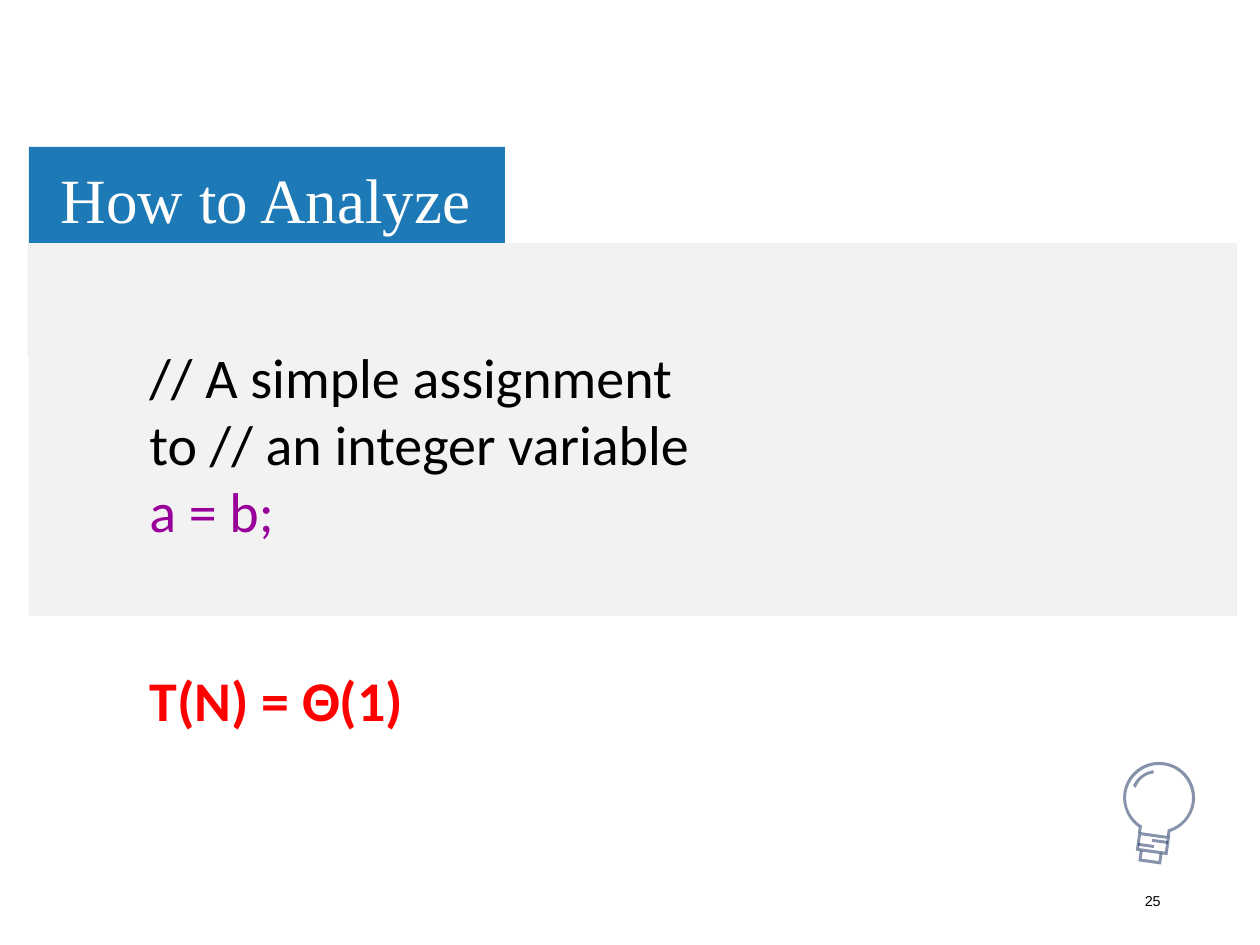
from pptx import Presentation
from pptx.dml.color import RGBColor
from pptx.enum.shapes import MSO_SHAPE
from pptx.enum.text import MSO_ANCHOR, MSO_AUTO_SIZE, PP_ALIGN
from pptx.oxml.ns import qn
from pptx.util import Pt
from lxml.etree import SubElement

PX = 914400 / 126
HUE = {"blue": "1E7AB6", "grey": "F2F2F2", "white": "FFFFFF", "black": "000000",
       "plum": "990099", "red": "FF0000", "navy": "203864"}

deck = Presentation()
deck.slide_width = round(1260 * PX)
deck.slide_height = round(945 * PX)
slide = deck.slides.add_slide(deck.slide_layouts[6])


def write(runs, box, size, font, bold=False, side=PP_ALIGN.LEFT,
          anchor=MSO_ANCHOR.TOP, inset=None, space=None, grow=False):
    frame = slide.shapes.add_textbox(*[round(n * PX) for n in box]).text_frame
    frame.word_wrap = True
    frame.vertical_anchor = anchor
    if grow:
        frame.auto_size = MSO_AUTO_SIZE.SHAPE_TO_FIT_TEXT
    if inset:
        frame.margin_left = frame.margin_right = round(inset[0] * PX)
        frame.margin_top = frame.margin_bottom = round(inset[1] * PX)
    para = frame.paragraphs[0]
    para.alignment = side
    if space:
        para.line_spacing = space
    para.font.size = Pt(size)
    for i, (text, hue) in enumerate(runs):
        if i:
            para.add_line_break()
        run = para.add_run()
        run.text = text
        run.font.size = Pt(size)
        run.font.name = font
        run.font.bold = bold
        run.font.color.rgb = RGBColor.from_string(HUE[hue])


def paint(shape, hue, alpha=None):
    shape.shadow.inherit = False
    shape.line.fill.background()
    shape.fill.solid()
    shape.fill.fore_color.rgb = RGBColor.from_string(HUE[hue])
    if alpha:
        tone = shape.fill._xPr.find(qn("a:solidFill"))[0]
        SubElement(tone, qn("a:alpha")).set("val", str(alpha * 1000))


for hue, box in (("blue", (29, 147, 476, 210)), ("grey", (29, 243, 1208, 373))):
    paint(slide.shapes.add_shape(MSO_SHAPE.RECTANGLE, *[round(n * PX) for n in box]), hue)

write([("How to Analyze", "white")], (52, 153, 451, 100), 36, "Times New Roman",
      anchor=MSO_ANCHOR.MIDDLE, inset=(9, 5), space=0.9)
write([("25", "black")], (890, 876, 283, 50), 8.2, "Arial",
      side=PP_ALIGN.RIGHT, anchor=MSO_ANCHOR.MIDDLE)
write([("// A simple assignment to // an integer variable", "black"), ("a = b;", "plum")],
      (137, 336, 630, 217), 32, "Calibri", grow=True)
write([("T(N) = Θ(1)", "red")], (137, 659, 665, 81), 32, "Calibri", bold=True, grow=True)

base = [(0, 0), (3, 0), (3, 8), (20, 8), (20, 0), (23, 0), (23, 11), (0, 11)]
glass = [(16, 37), (13, 37), (13, 30),
         (25, 25, 33, 13, 33, 0), (33, -18, 18, -33, 0, -33),
         (-18, -33, -33, -18, -33, 0), (-33, 13, -25, 25, -13, 30),
         (-13, 37), (-16, 37), (-16, 32),
         (-28, 26, -36, 13, -36, 0), (-36, -20, -20, -36, 0, -36),
         (20, -36, 36, -20, 36, 0), (36, 13, 28, 26, 16, 32)]
neck = [(0, 0), (32, 0), (32, 19), (0, 19)]
hole = [(3, 3), (3, 16), (29, 16), (29, 3)]
glint = [(0, 18), (3, 9, 9, 3, 18, 0), (19, 3), (11, 5, 5, 11, 3, 20)]

bulb = slide.shapes.add_group_shape().shapes
for left, top, loops in ((1139, 852, [base]), (1159, 798, [glass]),
                         (1137, 834, [neck, hole]), (1134, 769, [glint])):
    form = None
    for loop in loops:
        dots = [(round((left + step[i]) * PX), round((top + step[i + 1]) * PX))
                for step in loop for i in range(0, len(step), 2)]
        if form is None:
            form = bulb.build_freeform(*dots[0])
        else:
            form.move_to(*dots[0])
        form.add_line_segments(dots[1:], close=False)
        form.add_line_segments([], close=True)
    shape = form.convert_to_shape()
    lines = iter(list(shape._element.iter(qn("a:lnTo"))))
    for loop in loops:
        for step in loop[1:]:
            parts = [next(lines) for i in range(0, len(step), 2)]
            if len(parts) == 3:
                parts[0].tag = qn("a:cubicBezTo")
                for part in parts[1:]:
                    parts[0].append(part[0])
                    part.getparent().remove(part)
    shape.rotation = 8
    paint(shape, "navy", alpha=54)

for box in ((1152, 840, 16, 3), (1138, 844, 16, 3)):
    band = bulb.add_shape(MSO_SHAPE.RECTANGLE, *[round(n * PX) for n in box])
    band.rotation = 8
    paint(band, "navy", alpha=54)

deck.save("out.pptx")
